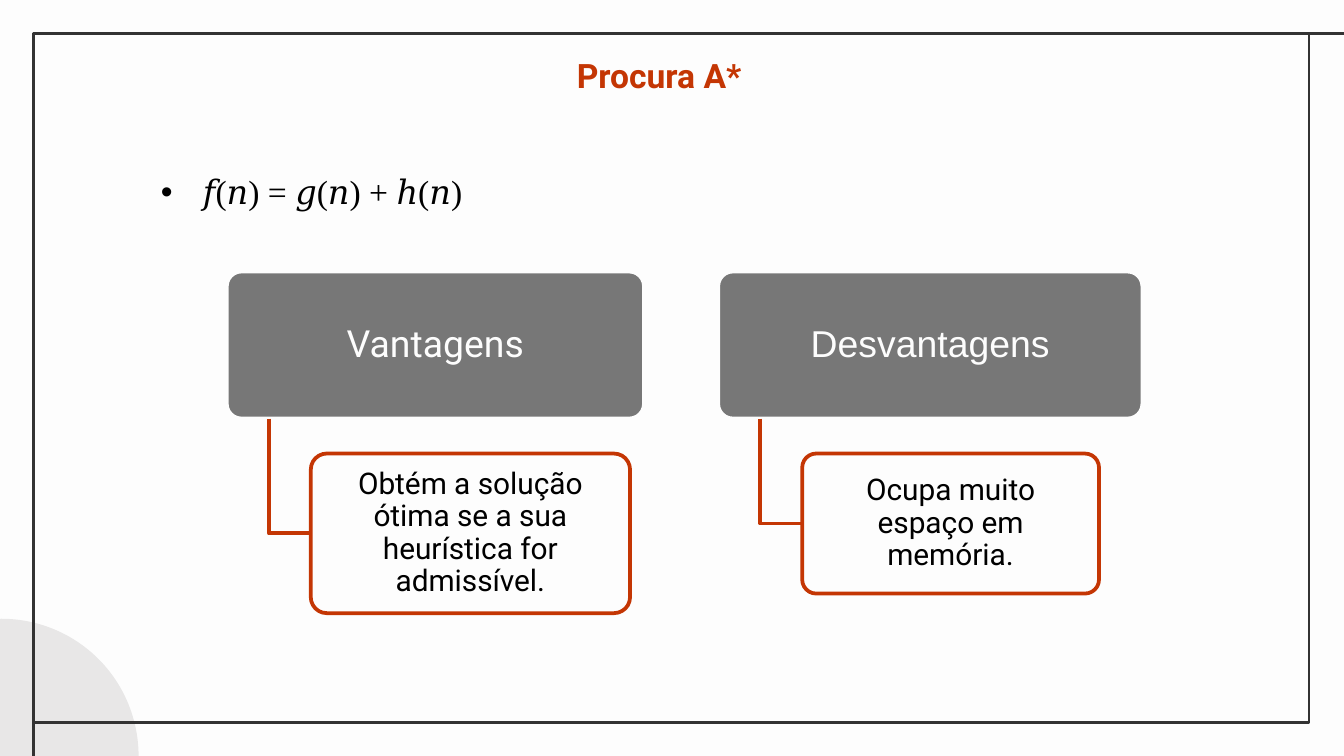
from lxml.etree import SubElement
from pptx import Presentation
from pptx.dml.color import RGBColor
from pptx.enum.shapes import MSO_CONNECTOR as LINK, MSO_SHAPE as SHAPE
from pptx.enum.text import MSO_ANCHOR as ANCHOR, PP_ALIGN as ALIGN
from pptx.oxml.ns import qn
from pptx.util import Emu, Pt

PX = 9525  # EMU, 96 px to the inch
PAPER = RGBColor(0xFD, 0xFD, 0xFD)
PALE = RGBColor(0xE8, 0xE7, 0xE7)
DARK = RGBColor(0x33, 0x33, 0x33)
GREY = RGBColor(0x77, 0x77, 0x77)
RED = RGBColor(0xC4, 0x36, 0x04)
BLACK = RGBColor(0, 0, 0)


def add_shape(kind, box, fill=None, line=None, width=2):
    shape = slide.shapes.add_shape(kind, *[Emu(n * PX) for n in box])
    shape.shadow.inherit = False
    if fill is None:
        shape.fill.background()
    else:
        shape.fill.solid()
        shape.fill.fore_color.rgb = fill
    if line is None:
        shape.line.fill.background()
    else:
        shape.line.color.rgb = line
        shape.line.width = Pt(width)
    return shape


def set_text(shape, text, font, size, color, inset, align=ALIGN.LEFT):
    frame = shape.text_frame
    frame.word_wrap = True
    frame.margin_left = frame.margin_right = Emu(inset * PX)
    frame.margin_top = frame.margin_bottom = Emu(inset * PX)
    par = frame.paragraphs[0]
    par.text = text
    par.alignment = align
    par.font.name, par.font.size = font, Pt(size)
    par.font.color.rgb = color
    return par


prs = Presentation()
prs.slide_width, prs.slide_height = Emu(960 * PX), Emu(540 * PX)
slide = prs.slides.add_slide(prs.slide_layouts[5])
slide.background.fill.solid()
slide.background.fill.fore_color.rgb = PAPER

# Corner disc and frame, whose lines run on to the slide's edges
add_shape(SHAPE.OVAL, (-97, 442, 196, 196), PALE)
add_shape(SHAPE.RECTANGLE, (24, 24, 911, 492), line=DARK, width=1.5)
for ends in ((960, 24, 935, 24), (24, 540, 24, 514)):
    rule = slide.shapes.add_connector(LINK.STRAIGHT, *[Emu(n * PX) for n in ends])
    rule.line.color.rgb = DARK
    rule.line.width = Pt(1.5)
    SubElement(rule._element.spPr, qn("a:effectLst"))

title = slide.shapes.title
title.left, title.top, title.width, title.height = [Emu(n * PX) for n in (402, 29, 156, 60)]
par = set_text(title, "Procura A*", "Roboto", 18, RED, 10)
par.font.bold = True
title.text_frame.vertical_anchor = ANCHOR.TOP

formula = slide.shapes.add_textbox(*[Emu(n * PX) for n in (105, 108, 799, 43)])
par = set_text(formula, "𝑓(𝑛) = 𝑔(𝑛) + ℎ(𝑛)", "Times New Roman", 18, BLACK, 10)
par.line_spacing = 1.15
props = par._p.get_or_add_pPr()
props.set("marL", str(30 * PX))
props.set("indent", str(-30 * PX))
bullet = SubElement(props, qn("a:buFont"))
bullet.set("typeface", "Arial")
SubElement(props, qn("a:buChar")).set("char", "•")
# The default run properties must stay last
props.append(props.find(qn("a:defRPr")))

# Each column: left, head width, head, head font, note size, note
TOP, HIGH, NOTE = 194, 105, 324
COLS = [
    (162, 298, "Vantagens", "Roboto", (228, 114),
     "Obtém a solução ótima se a sua heurística for admissível."),
    (513, 303, "Desvantagens", "Arial", (212, 100),
     "Ocupa muito espaço em memória."),
]
for left, wide, head, font, (note_w, note_h), note in COLS:
    card = add_shape(SHAPE.ROUNDED_RECTANGLE, (left, TOP, wide, HIGH), GREY, PAPER)
    card_par = set_text(card, head, font, 20, PAPER, 7, ALIGN.CENTER)

    stem, mid = left + 30, NOTE + note_h // 2
    pen = slide.shapes.build_freeform(stem * PX, (TOP + HIGH) * PX, scale=1.0)
    pen.add_line_segments([(stem * PX, mid * PX), ((stem + 30) * PX, mid * PX)], close=False)
    elbow = pen.convert_to_shape()
    elbow.shadow.inherit = False
    elbow.fill.background()
    elbow.line.color.rgb = RED
    elbow.line.width = Pt(2)

    leaf = add_shape(SHAPE.ROUNDED_RECTANGLE, (left + 60, NOTE, note_w, note_h), PAPER, RED)
    leaf_par = set_text(leaf, note, "Roboto", 16, BLACK, 6, ALIGN.CENTER)
    for box, par in ((card, card_par), (leaf, leaf_par)):
        box.adjustments[0] = 0.1
        box.text_frame.vertical_anchor = ANCHOR.MIDDLE
        par.line_spacing = 0.9

prs.save("out.pptx")
